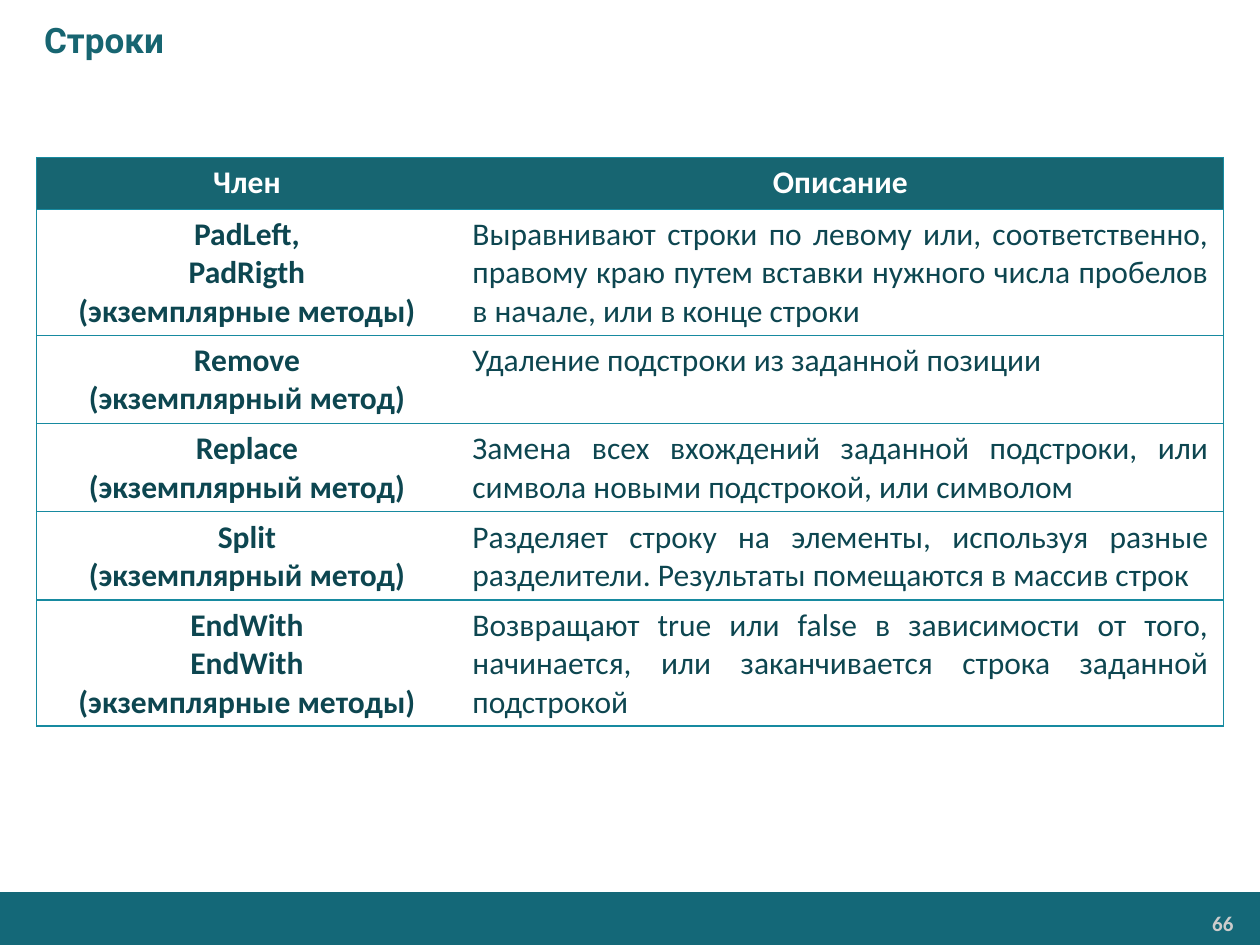
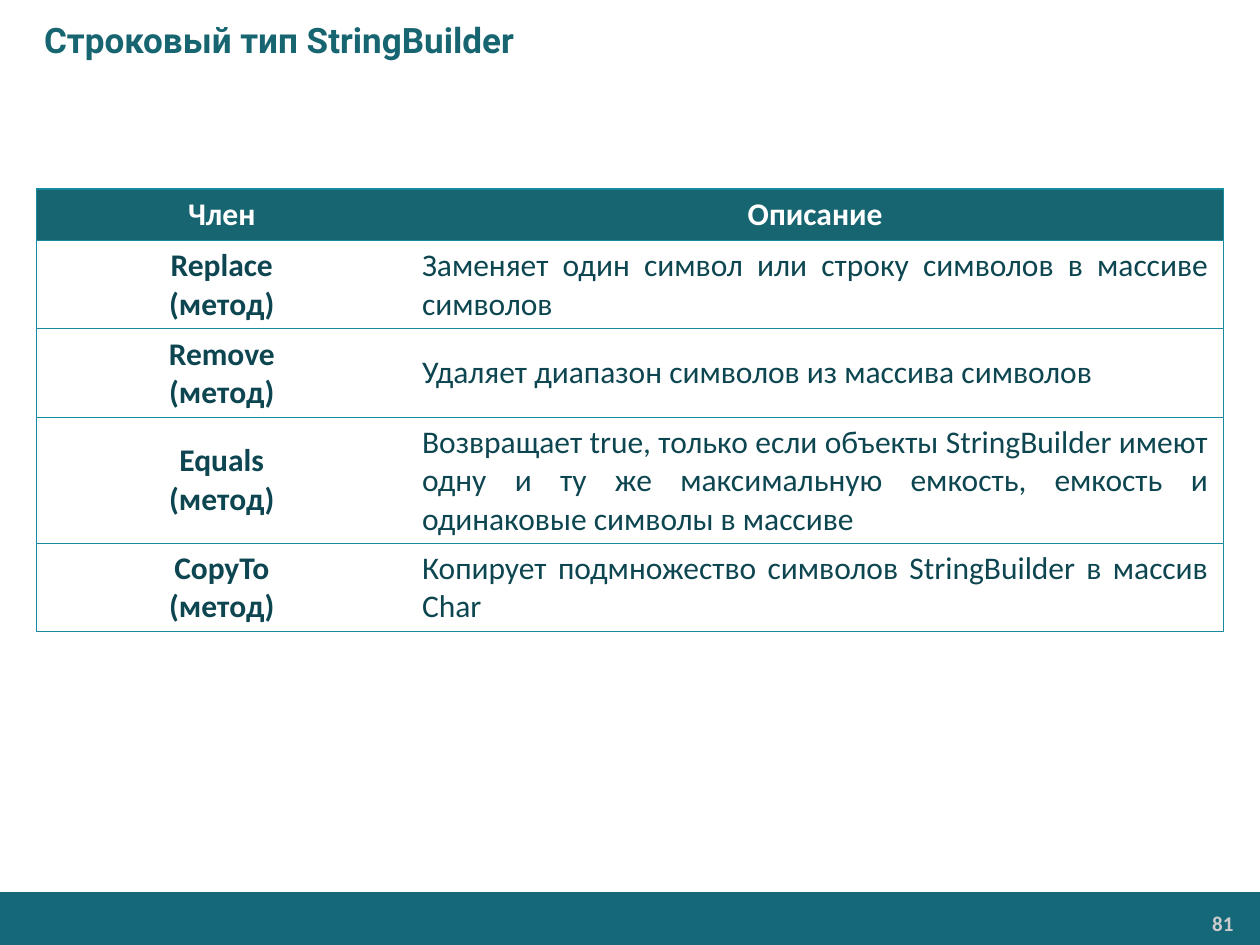
from dataclasses import dataclass

from lxml import etree
from pptx import Presentation
from pptx.dml.color import RGBColor
from pptx.enum.shapes import MSO_SHAPE
from pptx.enum.text import MSO_ANCHOR, PP_ALIGN
from pptx.oxml.ns import qn
from pptx.slide import Slide
from pptx.table import _Cell as Cell
from pptx.util import Inches, Pt

BAND = "146878"
TEAL = "176571"
BORDER = "178AA0"
INK = "0D4650"
WHITE = "FFFFFF"
PAGE_GREY = "CCCCCC"
BODY_FONT = "Calibri"
TITLE_FONT = "Roboto"
TABLE_LEFT = 0.29
ROW_HEIGHT = 0.41
HEADER = ("Член", "Описание")


@dataclass
class TableSlide:
    title: str
    number: int
    top: float
    widths: tuple[float, float]
    anchor: MSO_ANCHOR
    rows: list[tuple[str, str]]


SLIDES = [
    TableSlide("Строки", 66, 1.25, (3.34, 6.08), MSO_ANCHOR.TOP, [
        ("PadLeft,\nPadRigth\n(экземплярные методы)",
         "Выравнивают строки по левому или, соответственно, правому краю "
         "путем вставки нужного числа пробелов в начале, или в конце строки"),
        ("Remove\n(экземплярный метод)",
         "Удаление подстроки из заданной позиции"),
        ("Replace\n(экземплярный метод)",
         "Замена всех вхождений заданной подстроки, или символа новыми "
         "подстрокой, или символом"),
        ("Split\n(экземплярный метод)",
         "Разделяет строку на элементы, используя разные разделители. "
         "Результаты помещаются в массив строк"),
        ("EndWith\nEndWith\n(экземплярные методы)",
         "Возвращают true или false в зависимости от того, начинается, "
         "или заканчивается строка заданной подстрокой"),
    ]),
    TableSlide("Строковый тип StringBuilder", 81, 1.5, (2.94, 6.48), MSO_ANCHOR.MIDDLE, [
        ("Replace\n(метод)",
         "Заменяет один символ или строку символов в массиве символов"),
        ("Remove\n(метод)",
         "Удаляет диапазон символов из массива символов"),
        ("Equals\n(метод)",
         "Возвращает true, только если объекты StringBuilder имеют одну и ту же "
         "максимальную емкость, емкость и одинаковые символы в массиве"),
        ("СоруТо\n(метод)",
         "Копирует подмножество символов StringBuilder в массив Char"),
    ]),
]


def rgb(color: str) -> RGBColor:
    return RGBColor.from_string(color)


def write(tf, text: str, size: int, color: str, font: str = BODY_FONT,
          bold: bool = True, align: PP_ALIGN = PP_ALIGN.LEFT) -> None:
    tf.text = text
    for p in tf.paragraphs:
        p.alignment = align
        p.font.size = Pt(size)
        p.font.name = font
        p.font.bold = bold
        p.font.color.rgb = rgb(color)


def add_band(s: Slide) -> None:
    sp = s.shapes.add_shape(MSO_SHAPE.RECTANGLE, 0, Inches(7.08), Inches(10.01), Inches(0.43))
    sp.shadow.inherit = False
    sp.fill.solid()
    sp.fill.fore_color.rgb = rgb(BAND)
    sp.line.fill.background()


def add_page_number(s: Slide, number: int) -> None:
    tf = s.shapes.add_textbox(Inches(8.23), Inches(7.19), Inches(1.63), Inches(0.28)).text_frame
    tf.word_wrap = True
    tf.margin_left = tf.margin_right = Inches(0.07)
    tf.margin_top = tf.margin_bottom = Inches(0.04)
    write(tf, str(number), 12, PAGE_GREY, align=PP_ALIGN.RIGHT)


def add_title(s: Slide, title: str) -> None:
    tf = s.shapes.add_textbox(0, 0, Inches(10), Inches(0.63)).text_frame
    tf.word_wrap = True
    tf.vertical_anchor = MSO_ANCHOR.MIDDLE
    tf.margin_left = Inches(0.35)
    write(tf, title, 20, TEAL, TITLE_FONT)


def set_borders(cell: Cell, first_column: bool) -> None:
    tc_pr = cell._tc.get_or_add_tcPr()
    outer = "L" if first_column else "R"
    for i, side in enumerate("LRTB"):
        ln = etree.Element(qn(f"a:ln{side}"), w=str(Pt(0.75)))
        if side in outer + "TB":
            fill = etree.SubElement(ln, qn("a:solidFill"))
            etree.SubElement(fill, qn("a:srgbClr"), val=BORDER)
        else:
            etree.SubElement(ln, qn("a:noFill"))
        tc_pr.insert(i, ln)


def add_member_table(s: Slide, page: TableSlide) -> None:
    rows = [HEADER, *page.rows]
    table = s.shapes.add_table(
        len(rows), len(HEADER), Inches(TABLE_LEFT), Inches(page.top),
        Inches(sum(page.widths)), Inches(ROW_HEIGHT * len(rows))).table
    table.horz_banding = False
    for column, width in zip(table.columns, page.widths):
        column.width = Inches(width)
    for i, row in enumerate(rows):
        is_header = i == 0
        for j, text in enumerate(row):
            cell = table.cell(i, j)
            cell.margin_left = cell.margin_right = Inches(0.12)
            cell.margin_top = cell.margin_bottom = Inches(0.05)
            cell.vertical_anchor = page.anchor
            cell.fill.solid()
            cell.fill.fore_color.rgb = rgb(TEAL if is_header else WHITE)
            set_borders(cell, j == 0)
            is_label = is_header or j == 0
            write(cell.text_frame, text, 18, WHITE if is_header else INK, bold=is_label,
                  align=PP_ALIGN.CENTER if is_label else PP_ALIGN.JUSTIFY)


def main() -> None:
    prs = Presentation()
    prs.slide_width, prs.slide_height = Inches(10), Inches(7.5)
    for page in SLIDES:
        s = prs.slides.add_slide(prs.slide_layouts[6])
        add_band(s)
        add_page_number(s, page.number)
        add_title(s, page.title)
        add_member_table(s, page)
    prs.save("out.pptx")


if __name__ == "__main__":
    main()
